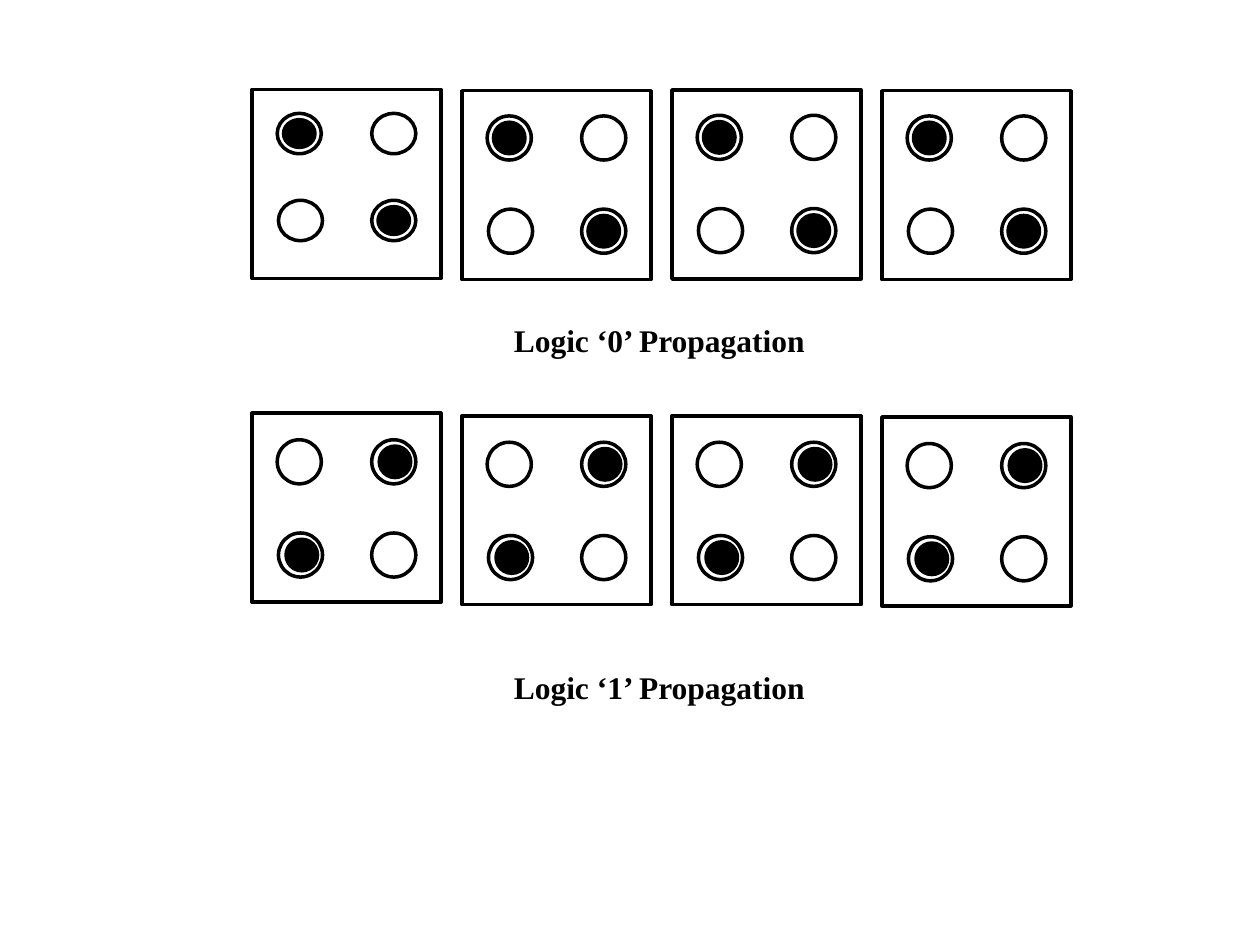
import pptx
import pptx.dml.color
import pptx.enum.shapes
import pptx.enum.text
import pptx.util

SLIDE_WIDTH, SLIDE_HEIGHT = 10, 7.5
CELL_SIZE = 0.15 * SLIDE_WIDTH
CELL_PITCH = SLIDE_WIDTH / 6
FIRST_CELL_LEFT = 0.2 * SLIDE_WIDTH
DOT_WIDTH = 0.35
LEFT_DOT, RIGHT_DOT = 0.2, 0.95
BLACK, WHITE = "000000", "FFFFFF"
RECTANGLE = pptx.enum.shapes.MSO_SHAPE.RECTANGLE
OVAL = pptx.enum.shapes.MSO_SHAPE.OVAL


def color(hex_code):
    """Turn a hex string into a colour."""
    return pptx.dml.color.RGBColor.from_string(hex_code)


def add_outline(wire, kind, left, top, width, height, fill=WHITE):
    """Add a filled shape with a black outline to a wire."""
    outline = wire.shapes.add_shape(
        kind, *map(pptx.util.Inches, (left, top, width, height)))
    outline.shadow.inherit = False
    outline.fill.solid()
    outline.fill.fore_color.rgb = color(fill)
    outline.line.color.rgb = color(BLACK)
    outline.line.width = pptx.util.Pt(2)


def add_cell(wire, column, top, dot_tops, dot_height, charged, inset):
    """Add a four-dot cell whose charged dots hold an electron."""
    left = FIRST_CELL_LEFT + column * CELL_PITCH
    upper, lower = (top + offset for offset in dot_tops)
    dots = {
        "lower right": (left + RIGHT_DOT, lower),
        "lower left": (left + LEFT_DOT + 0.01, lower),
        "upper right": (left + RIGHT_DOT, upper),
        "upper left": (left + LEFT_DOT, upper),
    }
    add_outline(wire, RECTANGLE, left, top, CELL_SIZE, CELL_SIZE)
    for x, y in dots.values():
        add_outline(wire, OVAL, x, y, DOT_WIDTH, dot_height)
    for corner in charged:
        x, y = dots[corner]
        add_outline(wire, OVAL, x + inset, y + 0.05,
                    DOT_WIDTH - 0.1, dot_height - 0.1, fill=BLACK)


def add_wire(slide, cells, charged, inset):
    """Add a row of cells in one group."""
    wire = slide.shapes.add_group_shape()
    for column, (top, dot_tops, dot_height) in enumerate(cells):
        add_cell(wire, column, top, dot_tops, dot_height, charged, inset)


def add_caption(slide, text, top, size=18, font="Times New Roman", bold=True, ink=BLACK):
    """Add a caption below a wire."""
    caption = slide.shapes.add_textbox(
        *map(pptx.util.Inches, (3.98, top, 2.53, 0.4)))
    frame = caption.text_frame
    frame.word_wrap = False
    frame.auto_size = pptx.enum.text.MSO_AUTO_SIZE.SHAPE_TO_FIT_TEXT
    run = frame.paragraphs[0].add_run()
    run.text = text
    run.font.name = font
    run.font.size = pptx.util.Pt(size)
    run.font.bold = bold
    run.font.color.rgb = color(ink)


def main():
    """Build the slide with both propagation wires."""
    deck = pptx.Presentation()
    deck.slide_width = pptx.util.Inches(SLIDE_WIDTH)
    deck.slide_height = pptx.util.Inches(SLIDE_HEIGHT)
    slide = deck.slides.add_slide(deck.slide_layouts[6])

    zero_cells = [(0.71, (0.19, 0.88), 0.32)]
    zero_cells += [(top, (0.2, 0.94), DOT_WIDTH) for top in (0.72, 0.715, 0.72)]
    one_cells = [(top, (0.21, 0.95), DOT_WIDTH) for top in (3.28, 3.3, 3.3, 3.31)]
    add_wire(slide, zero_cells, ("upper left", "lower right"), inset=0.05)
    add_wire(slide, one_cells, ("upper right", "lower left"), inset=0.06)

    add_caption(slide, "Logic ‘1’ Propagation", top=0.7 * SLIDE_HEIGHT)
    add_caption(slide, "Logic ‘0’ Propagation", top=SLIDE_HEIGHT / 3)
    deck.save("out.pptx")


if __name__ == "__main__":
    main()
